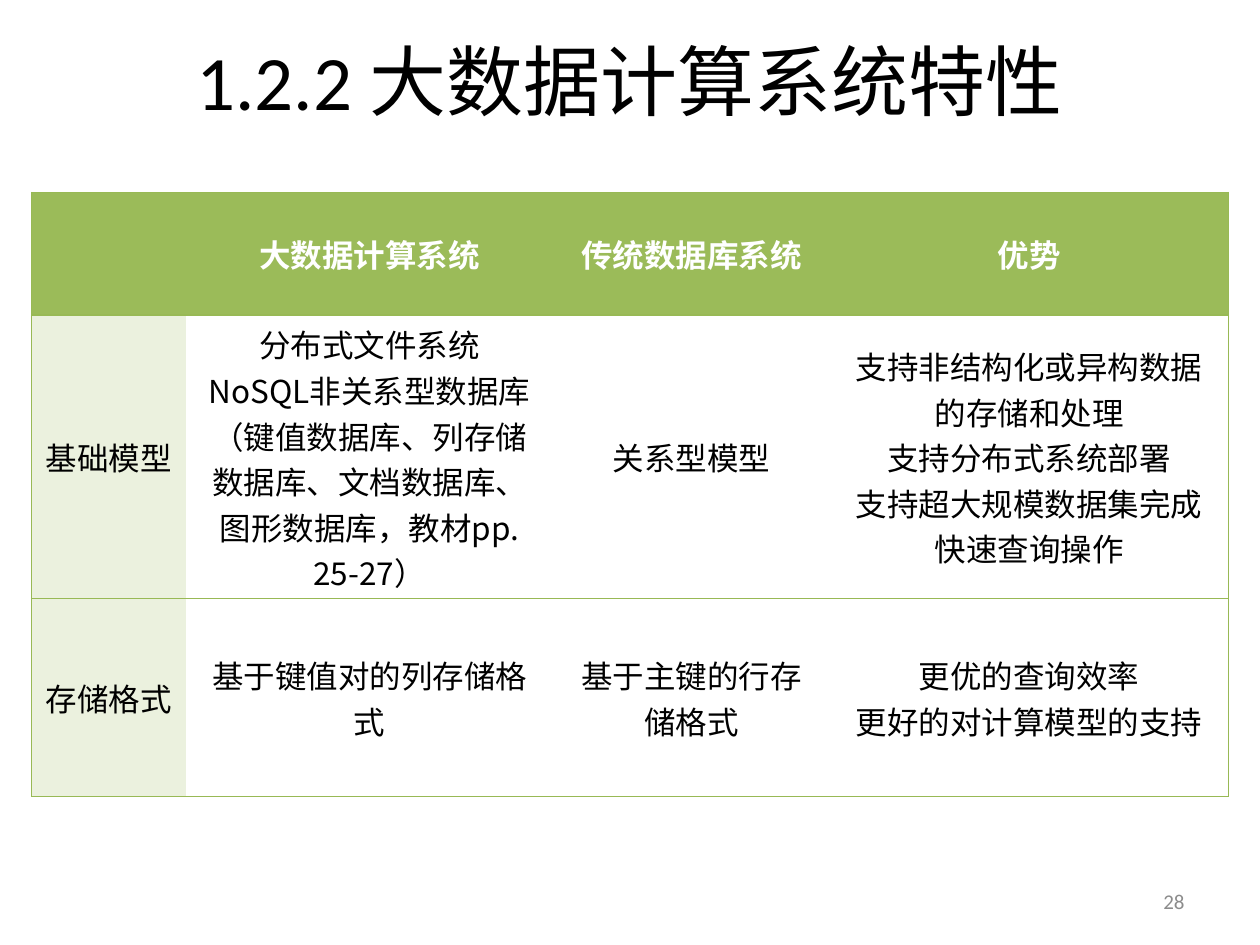
from dataclasses import dataclass

from lxml.etree import SubElement
from pptx import Presentation
from pptx.dml.color import RGBColor
from pptx.enum.text import MSO_ANCHOR, MSO_AUTO_SIZE, PP_ALIGN
from pptx.oxml import parse_xml
from pptx.oxml.ns import nsdecls, qn
from pptx.slide import Slide
from pptx.table import Table, _Cell
from pptx.text.text import TextFrame
from pptx.util import Cm, Pt

COLORS = {
    "text": "000000",
    "header": "9BBB59",
    "header_text": "FFFFFF",
    "label": "EBF1DE",
    "border": "98B955",
    "number": "8C8C8C",
}
LATIN_FONT = "Calibri"
CHINESE_FONT = "Noto Sans CJK SC"
PLAIN_TABLE_STYLE = "{2D5ABB26-0587-4C30-8999-92F81FD0307C}"
COLUMN_WIDTHS = (3.1, 7.42, 5.56, 8.05)


@dataclass(frozen=True)
class TextStyle:
    size: float
    color: str
    latin: str = CHINESE_FONT
    bold: bool = False
    alignment: PP_ALIGN = PP_ALIGN.CENTER


@dataclass(frozen=True)
class ComparisonRow:
    height: float
    cells: tuple[tuple[str, ...], ...]


TITLE_STYLE = TextStyle(44, "text", LATIN_FONT)
NUMBER_STYLE = TextStyle(12, "number", LATIN_FONT, alignment=PP_ALIGN.RIGHT)
HEADER_STYLE = TextStyle(18, "header_text", bold=True)
BODY_STYLE = TextStyle(18, "text")

ROWS = (
    ComparisonRow(2.47, ((), ("大数据计算系统",), ("传统数据库系统",), ("优势",))),
    ComparisonRow(5.72, (
        ("基础模型",),
        ("分布式文件系统",
         "NoSQL非关系型数据库（键值数据库、列存储数据库、文档数据库、图形数据库，教材pp. 25-27）"),
        ("关系型模型",),
        ("支持非结构化或异构数据的存储和处理", "支持分布式系统部署",
         "支持超大规模数据集完成快速查询操作"),
    )),
    ComparisonRow(3.99, (
        ("存储格式",),
        ("基于键值对的列存储格式",),
        ("基于主键的行存储格式",),
        ("更优的查询效率", "更好的对计算模型的支持"),
    )),
)


def write_text(frame: TextFrame, lines: tuple[str, ...], style: TextStyle) -> None:
    """Write one styled paragraph per line."""
    frame.word_wrap = True
    for index, line in enumerate(lines):
        paragraph = frame.add_paragraph() if index else frame.paragraphs[0]
        paragraph.alignment = style.alignment
        run = paragraph.add_run()
        run.text = line
        run.font.size = Pt(style.size)
        run.font.bold = style.bold
        run.font.color.rgb = RGBColor.from_string(COLORS[style.color])
        run.font.name = style.latin
        SubElement(run.font._element, qn("a:ea")).set("typeface", CHINESE_FONT)


def add_borders(cell: _Cell, sides: str) -> None:
    """Draw thin borders on the given sides, listed in the order L, R, T, B."""
    properties = cell._tc.get_or_add_tcPr()
    for index, side in enumerate(sides):
        properties.insert(index, parse_xml(
            f'<a:ln{side} {nsdecls("a")} w="{Pt(0.75)}"><a:solidFill>'
            f'<a:srgbClr val="{COLORS["border"]}"/></a:solidFill></a:ln{side}>'
        ))


def fill_cell(table: Table, row: int, column: int, lines: tuple[str, ...]) -> None:
    """Fill, write and border one comparison cell."""
    cell = table.cell(row, column)
    cell.vertical_anchor = MSO_ANCHOR.MIDDLE
    color = "header" if row == 0 else "label" if column == 0 else None
    if color:
        cell.fill.solid()
        cell.fill.fore_color.rgb = RGBColor.from_string(COLORS[color])
    else:
        cell.fill.background()
    write_text(cell.text_frame, lines, BODY_STYLE if row else HEADER_STYLE)
    left = "L" if column == 0 else ""
    right = "R" if column == len(COLUMN_WIDTHS) - 1 else ""
    add_borders(cell, left + right + "TB")


def add_comparison(slide: Slide) -> None:
    """Add the table comparing both kinds of system."""
    frame = slide.shapes.add_table(
        len(ROWS), len(COLUMN_WIDTHS), Cm(0.64), Cm(3.88),
        Cm(sum(COLUMN_WIDTHS)), Cm(sum(row.height for row in ROWS)),
    )
    table = frame.table
    table.horz_banding = False
    table._tbl.tblPr.find(qn("a:tableStyleId")).text = PLAIN_TABLE_STYLE
    for column, width in zip(table.columns, COLUMN_WIDTHS):
        column.width = Cm(width)
    for row_index, row in enumerate(ROWS):
        table.rows[row_index].height = Cm(row.height)
        for column_index, lines in enumerate(row.cells):
            fill_cell(table, row_index, column_index, lines)


def add_title(slide: Slide, text: str) -> None:
    """Place and write the title."""
    title = slide.shapes.title
    title.left, title.top, title.width, title.height = Cm(1.27), Cm(0.76), Cm(22.86), Cm(3.18)
    write_text(title.text_frame, (text,), TITLE_STYLE)
    title.text_frame.auto_size = MSO_AUTO_SIZE.NONE
    title.text_frame.vertical_anchor = MSO_ANCHOR.TOP
    title.text_frame.paragraphs[0].line_spacing = 0.9


def add_slide_number(slide: Slide, number: str) -> None:
    """Add the slide number at the bottom right."""
    box = slide.shapes.add_textbox(Cm(18.21), Cm(17.65), Cm(5.92), Cm(1.02))
    box.text_frame.vertical_anchor = MSO_ANCHOR.MIDDLE
    write_text(box.text_frame, (number,), NUMBER_STYLE)


def main() -> None:
    """Build and save the presentation."""
    presentation = Presentation()
    presentation.slide_width, presentation.slide_height = Cm(25.4), Cm(19.05)
    slide = presentation.slides.add_slide(presentation.slide_layouts[5])
    add_title(slide, "1.2.2 大数据计算系统特性")
    add_slide_number(slide, "28")
    add_comparison(slide)
    presentation.save("out.pptx")


if __name__ == "__main__":
    main()
